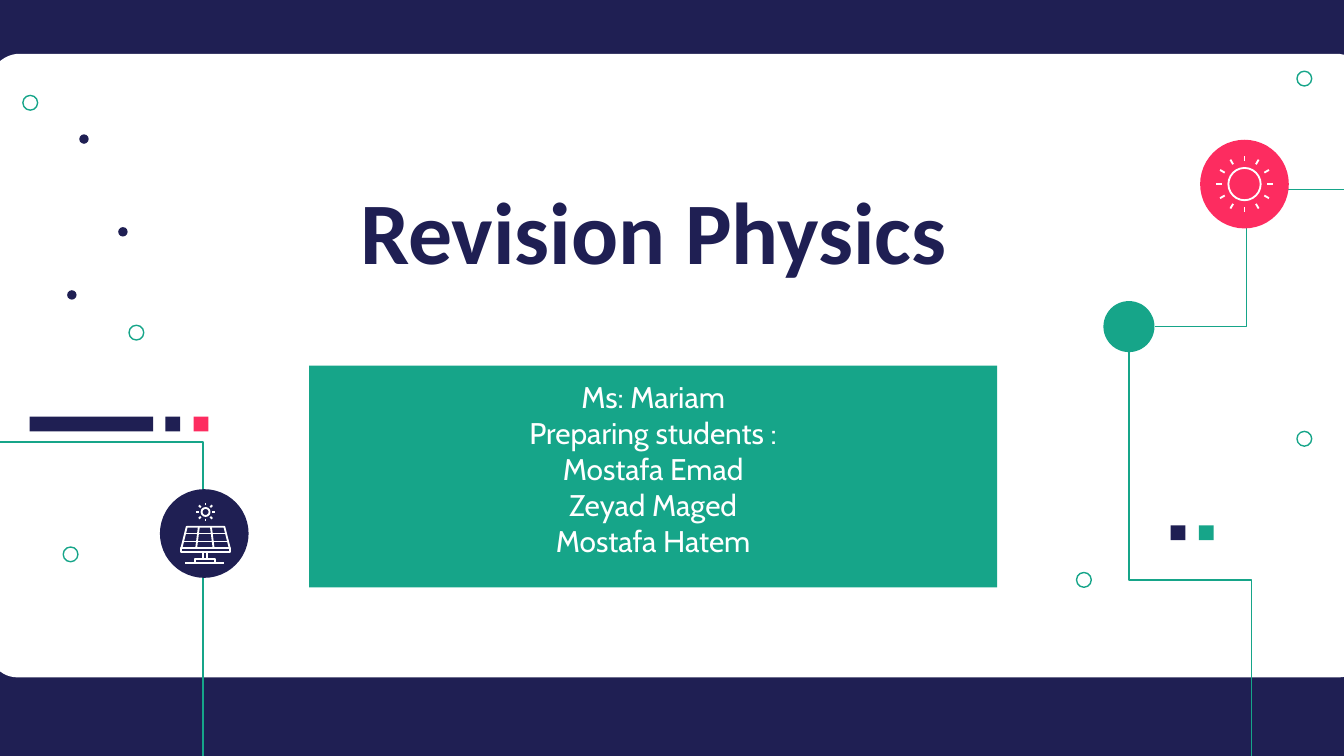
import math
from dataclasses import dataclass
from typing import Optional

import pptx
import pptx.dml.color
import pptx.enum.shapes
import pptx.enum.text
import pptx.oxml
import pptx.oxml.ns
import pptx.util
from pptx.util import Inches

SHAPE = pptx.enum.shapes.MSO_SHAPE
ANCHOR = pptx.enum.text.MSO_ANCHOR
Point = tuple[float, float]


@dataclass(frozen=True)
class Theme:
    navy: str = "1F1F53"
    green: str = "16A589"
    pink: str = "FD2C60"
    white: str = "FFFFFF"
    title_font: str = "Calibri"
    title_size: float = 47
    body_font: str = "Cabin"
    body_size: float = 16
    line_width: float = 0.75
    icon_width: float = 1


@dataclass(frozen=True)
class Block:
    """A preset shape, with a fill or else an outline."""
    x: float
    y: float
    w: float
    h: float
    fill: Optional[str] = None
    outline: Optional[str] = None
    kind: SHAPE = SHAPE.OVAL


@dataclass(frozen=True)
class Elbow:
    start: Point
    end: Point
    bend: float = 0.5
    rotation: int = 0


THEME = Theme()
SLIDE_WIDTH = 10
SLIDE_HEIGHT = SLIDE_WIDTH * 9 / 16
SMALL = 0.11
DOT = 0.07
BADGE = 0.66


def rgb(color: str) -> pptx.dml.color.RGBColor:
    return pptx.dml.color.RGBColor.from_string(color)


def style(s, fill: Optional[str], outline: Optional[str], width: float) -> None:
    s.shadow.inherit = False
    if fill:
        s.fill.solid()
        s.fill.fore_color.rgb = rgb(fill)
    else:
        s.fill.background()
    if outline:
        s.line.color.rgb = rgb(outline)
        s.line.width = pptx.util.Pt(width)
    else:
        s.line.fill.background()


def draw_block(shapes, b: Block, width: float = THEME.line_width):
    s = shapes.add_shape(b.kind, Inches(b.x), Inches(b.y), Inches(b.w), Inches(b.h))
    style(s, b.fill, b.outline, width)
    return s


def draw_elbow(shapes, e: Elbow) -> None:
    c = shapes.add_connector(
        pptx.enum.shapes.MSO_CONNECTOR.ELBOW, *(Inches(v) for v in e.start + e.end))
    c.line.color.rgb = rgb(THEME.green)
    c.line.width = pptx.util.Pt(THEME.line_width)
    props = c._element.spPr
    if e.rotation:
        props.find(pptx.oxml.ns.qn("a:xfrm")).set("rot", str(e.rotation * 60000))
    guides = props.find(pptx.oxml.ns.qn("a:prstGeom")).get_or_add_avLst()
    namespace = pptx.oxml.ns.nsdecls("a")
    guides.append(pptx.oxml.parse_xml(
        f'<a:gd {namespace} name="adj1" fmla="val {round(e.bend * 100000)}"/>'))
    props.append(pptx.oxml.parse_xml(f"<a:effectLst {namespace}/>"))


def draw_strokes(shapes, strokes: list[list[Point]]) -> None:
    """Draw several open white polylines as one icon outline."""
    points = [[(Inches(x), Inches(y)) for x, y in stroke] for stroke in strokes]
    builder = shapes.build_freeform(*points[0][0])
    for stroke in points:
        builder.move_to(*stroke[0])
        builder.add_line_segments(stroke[1:], close=False)
    style(builder.convert_to_shape(), None, THEME.white, THEME.icon_width)


def draw_sun(shapes, center: Point, radius: float, inner: float, outer: float,
             rays: int) -> None:
    cx, cy = center
    ring = Block(cx - radius, cy - radius, 2 * radius, 2 * radius, outline=THEME.white)
    draw_block(shapes, ring, THEME.icon_width)
    angles = [2 * math.pi * i / rays for i in range(rays)]
    draw_strokes(shapes, [[(cx + r * math.cos(a), cy + r * math.sin(a))
                           for r in (inner, outer)] for a in angles])


def draw_solar_panel(shapes) -> None:
    top, bottom = 3.92, 4.08
    draw_strokes(shapes, [
        [(1.35, bottom), (1.39, top), (1.67, top), (1.71, bottom)],
        [(1.37, 3.97), (1.68, 3.97)],
        [(1.36, 4.03), (1.69, 4.03)],
        [(1.48, top), (1.46, bottom)],
        [(1.57, top), (1.59, bottom)],
        [(1.35, bottom), (1.71, bottom), (1.71, 4.11), (1.35, 4.11), (1.35, bottom)],
        [(1.51, 4.11), (1.51, 4.16)],
        [(1.54, 4.11), (1.54, 4.16)],
        [(1.45, 4.19), (1.45, 4.16), (1.6, 4.16), (1.6, 4.19)],
        [(1.38, 4.19), (1.67, 4.19)],
    ])


def write(s, lines: list[str], font: str, size: float, color: str, anchor: ANCHOR,
          bold: bool = False, spacing: float = 1) -> None:
    tf = s.text_frame
    tf.word_wrap = True
    tf.vertical_anchor = anchor
    tf.margin_left = tf.margin_right = tf.margin_top = tf.margin_bottom = Inches(0.1)
    tf.text = "\n".join(lines)
    for p in tf.paragraphs:
        p.alignment = pptx.enum.text.PP_ALIGN.CENTER
        p.line_spacing = spacing
        p.font.name = font
        p.font.size = pptx.util.Pt(size)
        p.font.bold = bold
        p.font.color.rgb = rgb(color)


def main() -> None:
    t = THEME
    prs = pptx.Presentation()
    prs.slide_width, prs.slide_height = Inches(SLIDE_WIDTH), Inches(SLIDE_HEIGHT)
    shapes = prs.slides.add_slide(prs.slide_layouts[6]).shapes

    draw_block(shapes, Block(-0.06, -0.14, 10.21, 5.95, t.navy, kind=SHAPE.RECTANGLE))
    panel = draw_block(shapes, Block(-0.08, 0.4, 10.25, 4.64, t.white,
                                     kind=SHAPE.ROUND_2_SAME_RECTANGLE))
    panel.rotation = 180
    panel.adjustments[0], panel.adjustments[1] = 0.045, 0.049

    for elbow in (
        Elbow((-0.37, 3.29), (3.39, 5.81)),
        Elbow((10.55, 3.86), (7.16, 4.77), rotation=270),
        Elbow((8.59, 2.43), (10.2, 1.41), bend=0.424),
    ):
        draw_elbow(shapes, elbow)

    for x, y, w, color in (
        (0.22, 3.1, 0.92, t.navy), (1.23, 3.1, SMALL, t.navy), (1.44, 3.1, SMALL, t.pink),
        (8.71, 3.91, SMALL, t.navy), (8.92, 3.91, SMALL, t.green),
    ):
        draw_block(shapes, Block(x, y, w, SMALL, color, kind=SHAPE.RECTANGLE))
    for x, y in ((0.96, 2.42), (0.47, 4.07), (0.17, 0.71),
                 (9.65, 0.53), (9.65, 3.21), (8.01, 4.26)):
        draw_block(shapes, Block(x, y, SMALL, SMALL, outline=t.green))
    for x, y in ((0.88, 1.69), (0.59, 1), (0.5, 2.16)):
        draw_block(shapes, Block(x, y, DOT, DOT, t.navy))

    title = shapes.add_textbox(Inches(1.86), Inches(1.1), Inches(6.01), Inches(1.09))
    write(title, ["Revision Physics"], t.title_font, t.title_size, t.navy,
          ANCHOR.BOTTOM, bold=True, spacing=0.8)
    names = draw_block(shapes, Block(2.3, 2.72, 5.12, 1.65, t.green, kind=SHAPE.RECTANGLE))
    write(names, ["Ms: Mariam", "Preparing students :", "Mostafa Emad", "Zeyad Maged",
                  "Mostafa Hatem"], t.body_font, t.body_size, t.white, ANCHOR.TOP)

    draw_block(shapes, Block(1.19, 3.64, BADGE, BADGE, t.navy))
    draw_sun(shapes, (1.53, 3.81), radius=0.03, inner=0.05, outer=0.07, rays=8)
    draw_solar_panel(shapes)
    draw_block(shapes, Block(8.21, 2.24, 0.38, 0.38, t.green))
    draw_block(shapes, Block(8.93, 1.04, BADGE, BADGE, t.pink))
    draw_sun(shapes, (9.26, 1.37), radius=0.12, inner=0.17, outer=0.21, rays=12)

    prs.save("out.pptx")


if __name__ == "__main__":
    main()
